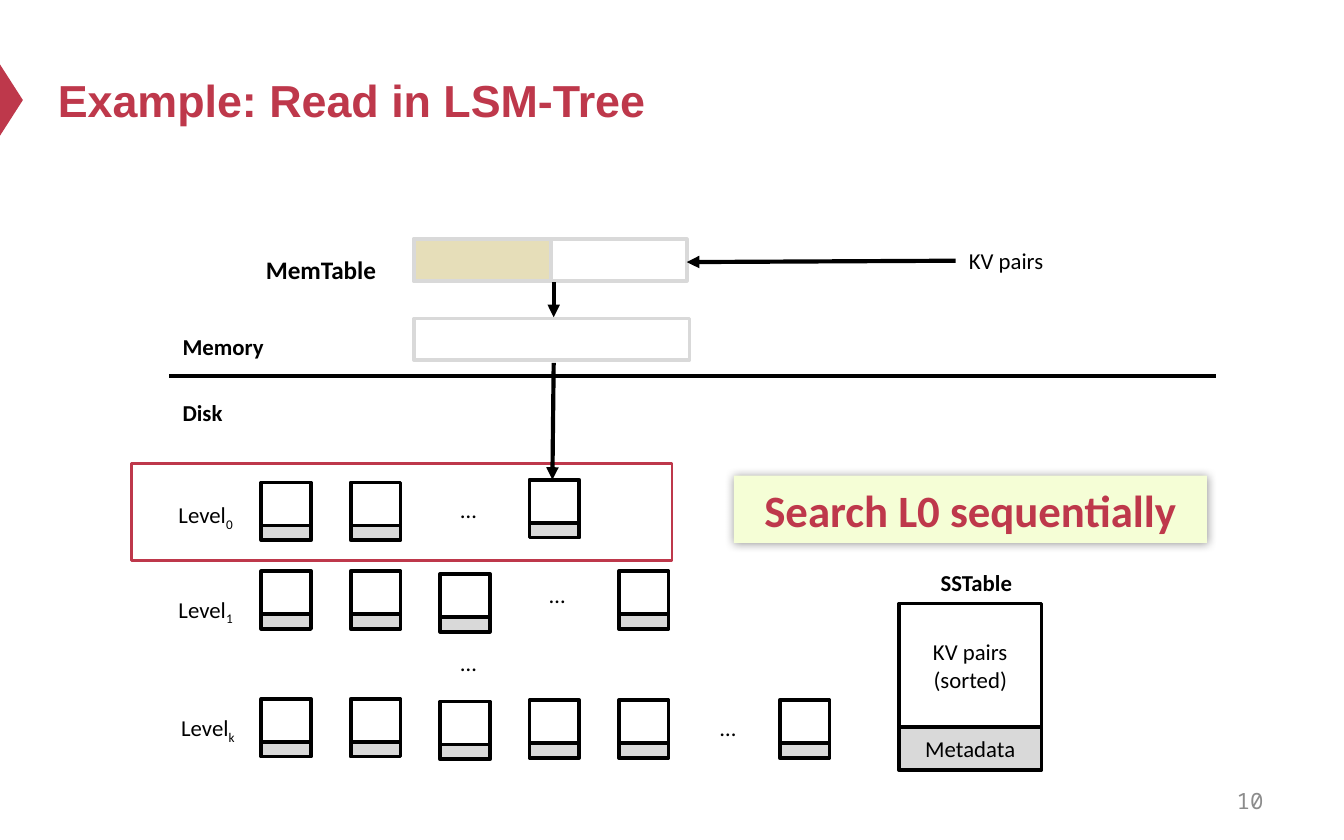
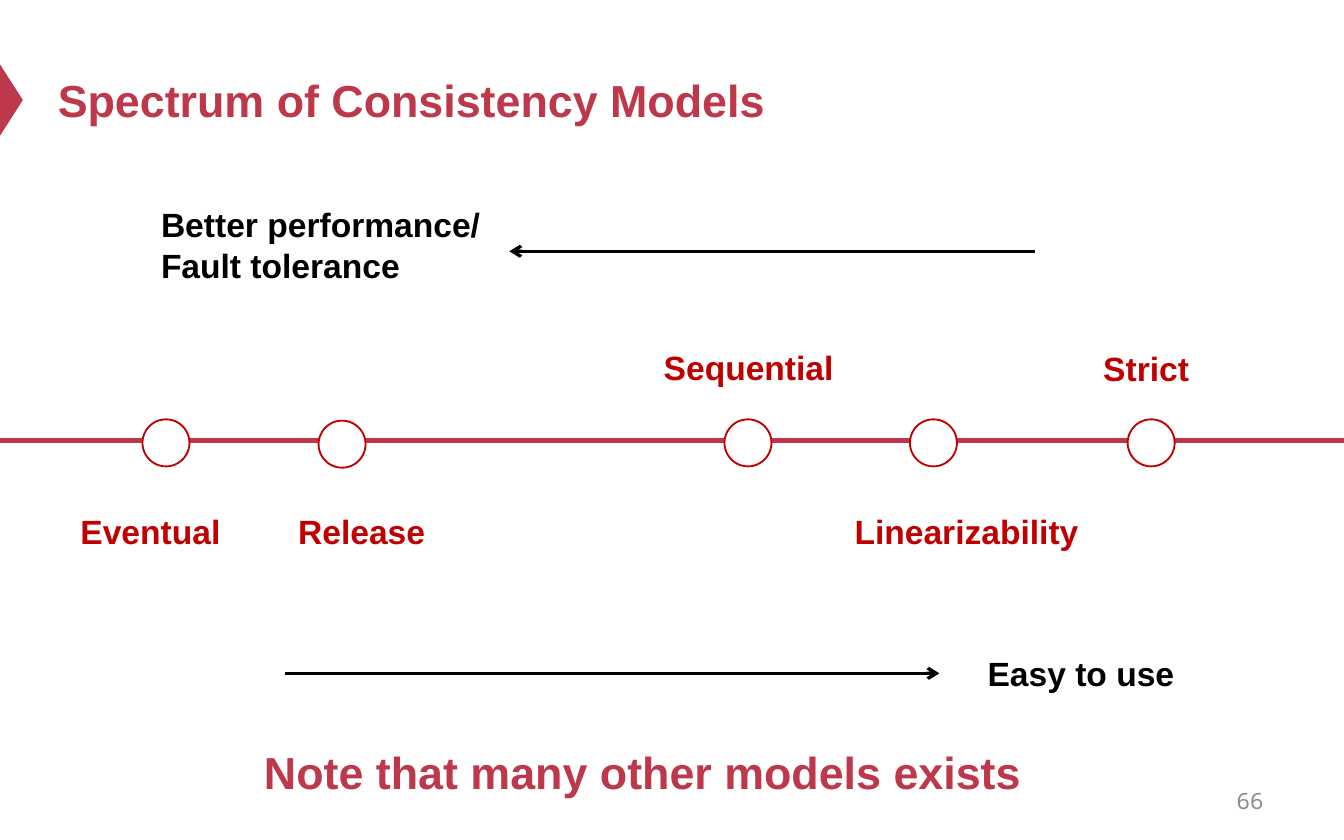
import pptx
import pptx.util
import pptx.dml.color
import pptx.enum.shapes
import pptx.enum.text
import pptx.oxml
import pptx.oxml.ns

Inches = pptx.util.Inches
Pt = pptx.util.Pt
RGBColor = pptx.dml.color.RGBColor
MSO_SHAPE = pptx.enum.shapes.MSO_SHAPE
PP_ALIGN = pptx.enum.text.PP_ALIGN
MSO_ANCHOR = pptx.enum.text.MSO_ANCHOR

# Shared look
CRIMSON = RGBColor(0xBE, 0x38, 0x4B)
DARK_RED = RGBColor(0xC0, 0x00, 0x00)
BLACK = RGBColor(0x00, 0x00, 0x00)
WHITE = RGBColor(0xFF, 0xFF, 0xFF)
LIGHT_GREY = RGBColor(0xD9, 0xD9, 0xD9)
NUMBER_GREY = RGBColor(0x8C, 0x8C, 0x8C)
SAND = RGBColor(0xE6, 0xDE, 0xB9)
PALE_YELLOW = RGBColor(0xF5, 0xFE, 0xD6)
HEAD_FONT, DIAGRAM_FONT, NUMBER_FONT = "Arial", "Calibri", "Noto Sans Mono"

# Slide 1 content: (text, left, top, width, size, bold)
LSM_LABELS = [
    ("MemTable", 1.88, 1.84, 1.18, 13.5, True),
    ("KV pairs", 7.11, 1.79, 0.78, 12.2, False),
    ("Memory", 1.26, 2.43, 0.82, 12.2, True),
    ("Disk", 1.26, 2.92, 0.51, 12.2, True),
    ("SSTable", 6.9, 4.18, 0.77, 12.2, True),
]
# Each level: subscript, label position, tables as (slot, top)
LEVELS = [
    ("0", (1.23, 3.68), [(0, 3.59), (1, 3.59), (3, 3.57)]),
    ("1", (1.23, 4.38), [(0, 4.25), (1, 4.25), (2, 4.27), (4, 4.25)]),
    ("k", (1.25, 5.26), [(0, 5.2), (1, 5.2), (2, 5.22), (3, 5.21),
                         (4, 5.21), (5.8, 5.21)]),
]
ELLIPSES = [(3.33, 3.64), (3.99, 4.27), (3.33, 4.78), (5.26, 5.26)]
TABLE_LEFT, TABLE_PITCH = 1.945, 0.665
# Write path: start, end
WRITE_ARROWS = [
    ((7.11, 1.94), (5.11, 1.95)),
    ((4.12, 2.1), (4.12, 2.36)),
    ((4.12, 2.7), (4.11, 3.57)),
]

# Slide 2 content: (model, circle left, circle top, label left, label top, width)
MODELS = [
    ("Eventual", 1.06, 3.12, 0.5, 3.75, 1.25),
    ("Release", 2.37, 3.13, 2.12, 3.75, 1.23),
    ("Sequential", 5.39, 3.12, 4.84, 2.53, 1.48),
    ("Linearizability", 6.77, 3.12, 6.26, 3.75, 1.88),
    ("Strict", 8.39, 3.12, 8.11, 2.54, 0.92),
]
# Trends: lines, label box, arrow start, arrow end
TRENDS = [
    (["Better performance/", "Fault tolerance"], (1.1, 1.47, 2.6, 0.71),
     (7.7, 1.87), (3.79, 1.87)),
    (["Easy to use"], (7.25, 4.81, 1.6, 0.4), (2.12, 5.01), (6.99, 5.01)),
]


def write(sp, lines, font, size, color, bold=False, align=PP_ALIGN.LEFT):
    tf = sp.text_frame
    for i, line in enumerate(lines):
        p = tf.paragraphs[0] if i == 0 else tf.add_paragraph()
        p.text = line
        p.alignment = align
        p.font.name, p.font.size, p.font.bold = font, Pt(size), bold
        p.font.color.rgb = color


def add_label(slide, box, lines, font, size, color, bold=False):
    sp = slide.shapes.add_textbox(*map(Inches, box))
    sp.text_frame.word_wrap = False
    sp.text_frame.auto_size = pptx.enum.text.MSO_AUTO_SIZE.SHAPE_TO_FIT_TEXT
    write(sp, lines, font, size, color, bold)
    return sp


def add_block(slide, text, box, size, color, font, bold=False,
              align=PP_ALIGN.CENTER):
    """Wrapped text, centred vertically in its box."""
    sp = slide.shapes.add_textbox(*map(Inches, box))
    sp.text_frame.word_wrap = True
    sp.text_frame.vertical_anchor = MSO_ANCHOR.MIDDLE
    write(sp, [text], font, size, color, bold, align)


def add_box(slide, box, fill=None, line=BLACK, width=2,
            kind=MSO_SHAPE.RECTANGLE):
    sp = slide.shapes.add_shape(kind, *map(Inches, box))
    sp.shadow.inherit = False
    if fill is None:
        sp.fill.background()
    else:
        sp.fill.solid()
        sp.fill.fore_color.rgb = fill
    if line is None:
        sp.line.fill.background()
    else:
        sp.line.color.rgb = line
        sp.line.width = Pt(width)
    return sp


def add_line(slide, start, end, color, width, head=None):
    c = slide.shapes.add_connector(pptx.enum.shapes.MSO_CONNECTOR.STRAIGHT,
                                   *map(Inches, start + end))
    c.line.color.rgb = color
    c.line.width = Pt(width)
    if head:
        pptx.oxml.ns.qn("a:tailEnd")
        ln = c.line._get_or_add_ln()
        tail = ln.makeelement(pptx.oxml.ns.qn("a:tailEnd"), {"type": head})
        ln.append(tail)
    pr = c._element.spPr
    pr.append(pr.makeelement(pptx.oxml.ns.qn("a:effectLst"), {}))


def add_glow(sp):
    """Soft black shadow on all sides."""
    old = sp._element.spPr.find(pptx.oxml.ns.qn("a:effectLst"))
    old.append(pptx.oxml.parse_xml(
        '<a:outerShdw %s blurRad="63500" dist="0" dir="0" algn="ctr" '
        'rotWithShape="0"><a:srgbClr val="000000"><a:alpha val="40000"/>'
        '</a:srgbClr></a:outerShdw>' % pptx.oxml.ns.nsdecls("a")))


def add_slide(prs, title, number):
    slide = prs.slides.add_slide(prs.slide_layouts[5])
    marker = add_box(slide, (-0.18, 0.66, 0.53, 0.17), CRIMSON, None,
                     kind=MSO_SHAPE.ISOSCELES_TRIANGLE)
    marker.rotation = 90
    sp = slide.shapes.title
    sp.left, sp.top, sp.width, sp.height = map(Inches, (0.33, 0.25, 9, 0.98))
    sp.text_frame.vertical_anchor = MSO_ANCHOR.MIDDLE
    write(sp, [title], HEAD_FONT, 24, CRIMSON, True)
    add_block(slide, number, (7.17, 5.79, 2.33, 0.33), 12, NUMBER_GREY,
              NUMBER_FONT, align=PP_ALIGN.RIGHT)
    return slide


def add_sstable(slide, left, top, width, data_height, meta_height):
    """Data part above a grey metadata part."""
    return (add_box(slide, (left, top, width, data_height)),
            add_box(slide, (left, top + data_height, width, meta_height),
                    LIGHT_GREY))


def build_lsm_read(prs):
    slide = add_slide(prs, "Example: Read in LSM-Tree", "10")
    for text, left, top, width, size, bold in LSM_LABELS:
        add_label(slide, (left, top, width, 0.31), [text], DIAGRAM_FONT, size,
                  BLACK, bold)

    # Memory buffers and the border between memory and disk
    add_box(slide, (3.08, 2.37, 2.05, 0.31), line=LIGHT_GREY)
    add_box(slide, (3.08, 1.78, 2.03, 0.31), line=LIGHT_GREY)
    add_box(slide, (3.08, 1.78, 1.02, 0.31), SAND, LIGHT_GREY)
    add_line(slide, (1.26, 2.8), (9.05, 2.8), BLACK, 2.25)

    # Levels on disk
    for sub, (left, top), tables in LEVELS:
        sp = add_label(slide, (left, top, 0.64, 0.31), ["Level"],
                       DIAGRAM_FONT, 12.2, BLACK)
        r = sp.text_frame.paragraphs[0].add_run()
        r.text = sub
        r.font._element.set("baseline", "-25000")
        for slot, y in tables:
            add_sstable(slide, TABLE_LEFT + slot * TABLE_PITCH, y,
                        0.37, 0.32, 0.11)
    for left, top in ELLIPSES:
        add_label(slide, (left, top, 0.37, 0.31), ["…"], DIAGRAM_FONT, 12.2,
                  BLACK)

    # Enlarged SSTable
    parts = add_sstable(slide, 6.69, 4.49, 1.06, 0.92, 0.32)
    for sp, lines in zip(parts, (["KV pairs", "(sorted)"], ["Metadata"])):
        write(sp, lines, DIAGRAM_FONT, 12.2, BLACK, align=PP_ALIGN.CENTER)

    # Highlighted level and callout
    sp = add_box(slide, (5.46, 3.54, 3.52, 0.5), PALE_YELLOW, None)
    add_glow(sp)
    write(sp, ["Search L0 sequentially"], DIAGRAM_FONT, 24, CRIMSON, True,
          PP_ALIGN.CENTER)
    add_box(slide, (0.98, 3.45, 4.02, 0.72), line=CRIMSON, width=1.5)
    for start, end in WRITE_ARROWS:
        add_line(slide, start, end, BLACK, 2.25, "triangle")


def build_spectrum(prs):
    slide = add_slide(prs, "Spectrum of Consistency Models", "66")

    # Axis with one circle per model
    add_line(slide, (-0.32, 3.28), (10, 3.28), CRIMSON, 2.5)
    for name, x, y, left, top, width in MODELS:
        add_box(slide, (x, y, 0.35, 0.35), WHITE, DARK_RED, 1, MSO_SHAPE.OVAL)
        add_label(slide, (left, top, width, 0.4), [name], HEAD_FONT, 18,
                  DARK_RED, True)

    # Opposite trends
    for lines, box, start, end in TRENDS:
        add_label(slide, box, lines, HEAD_FONT, 18, BLACK, True)
        add_line(slide, start, end, BLACK, 1.75, "arrow")
    add_block(slide, "Note that many other models exists",
              (0.28, 5.25, 9, 0.98), 24, CRIMSON, HEAD_FONT, True)


def main():
    prs = pptx.Presentation()
    prs.slide_width, prs.slide_height = Inches(10), Inches(6.25)
    build_lsm_read(prs)
    build_spectrum(prs)
    prs.save("out.pptx")


if __name__ == "__main__":
    main()
